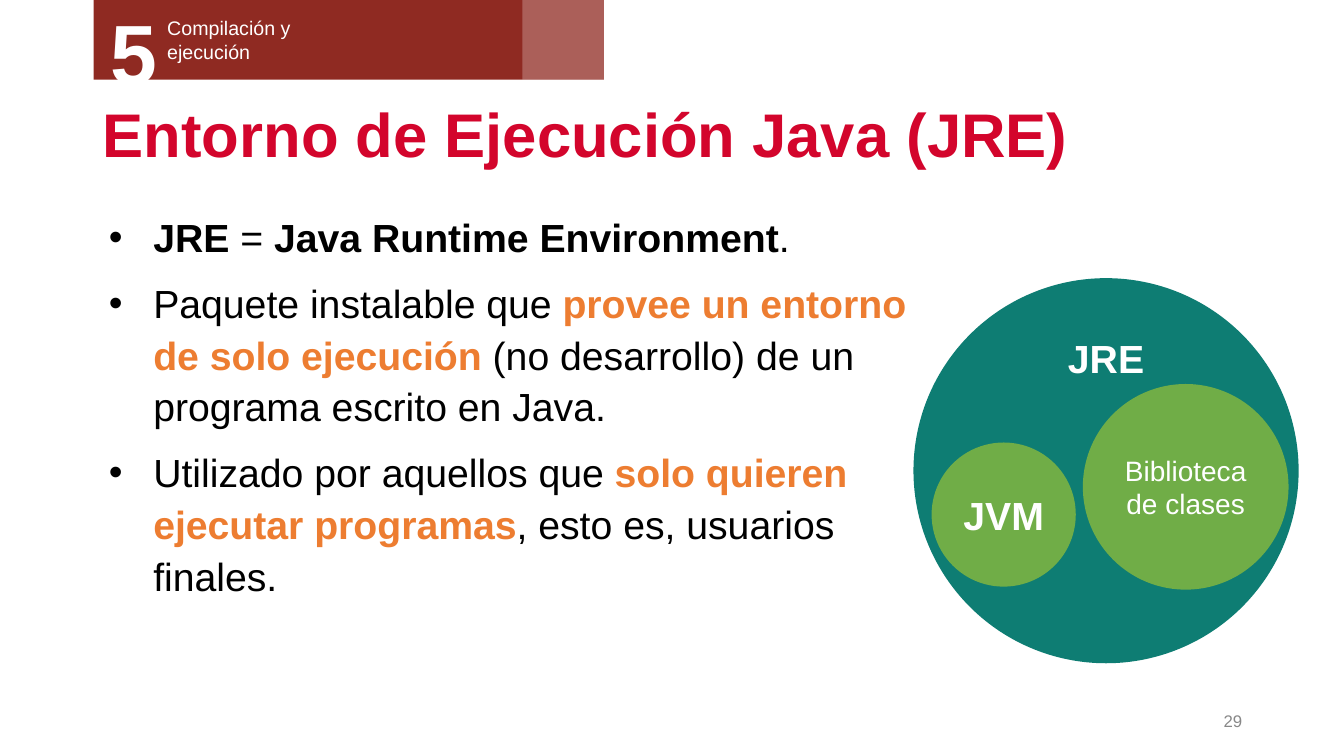
import pptx
import pptx.util
import pptx.dml.color
import pptx.enum.shapes
import pptx.enum.text
import pptx.oxml
import pptx.oxml.ns

Inches, Pt = pptx.util.Inches, pptx.util.Pt
ALIGN = pptx.enum.text.PP_ALIGN
ANCHOR = pptx.enum.text.MSO_ANCHOR
SHAPE = pptx.enum.shapes.MSO_SHAPE

# Content
TITLE = "Entorno de Ejecución Java (JRE)"
CHAPTER = ("5", "Compilación y\vejecución")
PAGE = "29"
# Each point is a list of (text, style)
POINTS = [
    [("JRE", "bold"), (" = ", "plain"),
     ("Java Runtime Environment", "bold"), (".", "plain")],
    [("Paquete instalable que ", "plain"),
     ("provee un entorno de solo ejecución", "key"),
     (" (no desarrollo) de un programa escrito en Java.", "plain")],
    [("Utilizado por aquellos que ", "plain"),
     ("solo quieren ejecutar programas", "key"),
     (", esto es, usuarios finales.", "plain")],
]
# Text, left, top, diameter, fill, size, bold, anchor
CIRCLES = [
    ("JRE", 9.06, 2.76, 3.82, "teal", "body", True, ANCHOR.TOP),
    ("JVM", 9.24, 4.39, 1.43, "green", "body", True, ANCHOR.MIDDLE),
    ("Biblioteca de clases", 10.74, 3.81, 2.04, "green", "label", False,
     ANCHOR.MIDDLE),
]

THEME = {
    "font": "Arial",
    "color": {"white": "FFFFFF", "black": "000000", "red": "D3052C",
              "orange": "ED7D31", "gray": "888888", "teal": "0E7D73",
              "green": "70AD47", "brick": "8F2A22"},
    "size": {"title": 44, "body": 28, "label": 20, "chapter": 14,
             "number": 60, "page": 12},
    "style": {"plain": ("black", False), "bold": ("black", True),
              "key": ("orange", True)},
}


def color(name):
    return pptx.dml.color.RGBColor.from_string(THEME["color"][name])


def format_run(run, size, tint, bold=False):
    run.font.name = THEME["font"]
    run.font.size = Pt(THEME["size"][size])
    run.font.color.rgb = color(tint)
    run.font.bold = bold


def place(shape, left, top, width, height):
    shape.left, shape.top = Inches(left), Inches(top)
    shape.width, shape.height = Inches(width), Inches(height)


def write(shape, text, size, tint, bold=False, align=ALIGN.LEFT,
          anchor=ANCHOR.TOP):
    frame = shape.text_frame
    frame.word_wrap = True
    frame.vertical_anchor = anchor
    frame.text = text
    for par in frame.paragraphs:
        par.alignment = align
        for run in par.runs:
            format_run(run, size, tint, bold)
    return frame


def add_solid(slide, kind, box, fill):
    shape = slide.shapes.add_shape(kind, *map(Inches, box))
    shape.shadow.inherit = False
    shape.fill.solid()
    shape.fill.fore_color.rgb = color(fill)
    shape.line.fill.background()
    return shape


def add_label(slide, box, *args, **kwargs):
    label = slide.shapes.add_textbox(*map(Inches, box))
    return write(label, *args, **kwargs)


def add_bullet(par):
    props = par._p.get_or_add_pPr()
    props.set("marL", str(Inches(0.5)))
    props.set("indent", str(Inches(-0.44)))
    ns = pptx.oxml.ns.nsdecls("a")
    for xml in (f'<a:buClr {ns}><a:srgbClr val="{THEME["color"]["black"]}"/></a:buClr>',
                f'<a:buFont {ns} typeface="{THEME["font"]}"/>',
                f'<a:buChar {ns} char="•"/>'):
        props.append(pptx.oxml.parse_xml(xml))


def add_header(slide):
    add_solid(slide, SHAPE.RECTANGLE, (0.93, -0.01, 5.06, 0.8), "brick")
    number, name = CHAPTER
    add_label(slide, (1.56, 0.11, 2.75, 0.57), name, "chapter", "white")
    add_label(slide, (1, -0.04, 1.12, 1.11), number, "number", "white", True)
    veil = add_solid(slide, SHAPE.RECTANGLE, (5.18, -0.01, 0.81, 0.8), "white")
    tint = veil.fill._xPr.find(".//" + pptx.oxml.ns.qn("a:srgbClr"))
    tint.append(pptx.oxml.parse_xml(
        f'<a:alpha {pptx.oxml.ns.nsdecls("a")} val="25000"/>'))


def fill_body(body):
    place(body, 0.92, 2.02, 8.28, 5.08)
    frame = body.text_frame
    frame.auto_size = pptx.enum.text.MSO_AUTO_SIZE.NONE
    frame.vertical_anchor = ANCHOR.TOP
    for i, point in enumerate(POINTS):
        par = frame.paragraphs[0] if i == 0 else frame.add_paragraph()
        par.line_spacing = 1.1
        par.space_before = Pt(10 if i else 0)
        add_bullet(par)
        for text, style in point:
            run = par.add_run()
            run.text = text
            format_run(run, "body", *THEME["style"][style])


def add_circles(slide):
    for text, left, top, size, fill, font, bold, anchor in CIRCLES:
        circle = add_solid(slide, SHAPE.OVAL, (left, top, size, size), fill)
        frame = write(circle, text, font, "white", bold, ALIGN.CENTER, anchor)
        frame.margin_top = frame.margin_bottom = 0


def main():
    deck = pptx.Presentation()
    deck.slide_width, deck.slide_height = Inches(13.33), Inches(7.5)
    slide = deck.slides.add_slide(deck.slide_layouts[1])

    # Title and list
    title = slide.shapes.title
    place(title, 0.92, 0.93, 11.5, 0.86)
    frame = write(title, TITLE, "title", "red", True, anchor=ANCHOR.MIDDLE)
    frame.auto_size = pptx.enum.text.MSO_AUTO_SIZE.NONE
    frame.paragraphs[0].line_spacing = 0.9
    fill_body(slide.placeholders[1])

    # Diagram, chapter band and page number
    add_circles(slide)
    add_header(slide)
    add_label(slide, (9.42, 6.95, 3, 0.4), PAGE, "page", "gray",
              align=ALIGN.RIGHT, anchor=ANCHOR.MIDDLE)
    deck.save("out.pptx")


if __name__ == "__main__":
    main()
